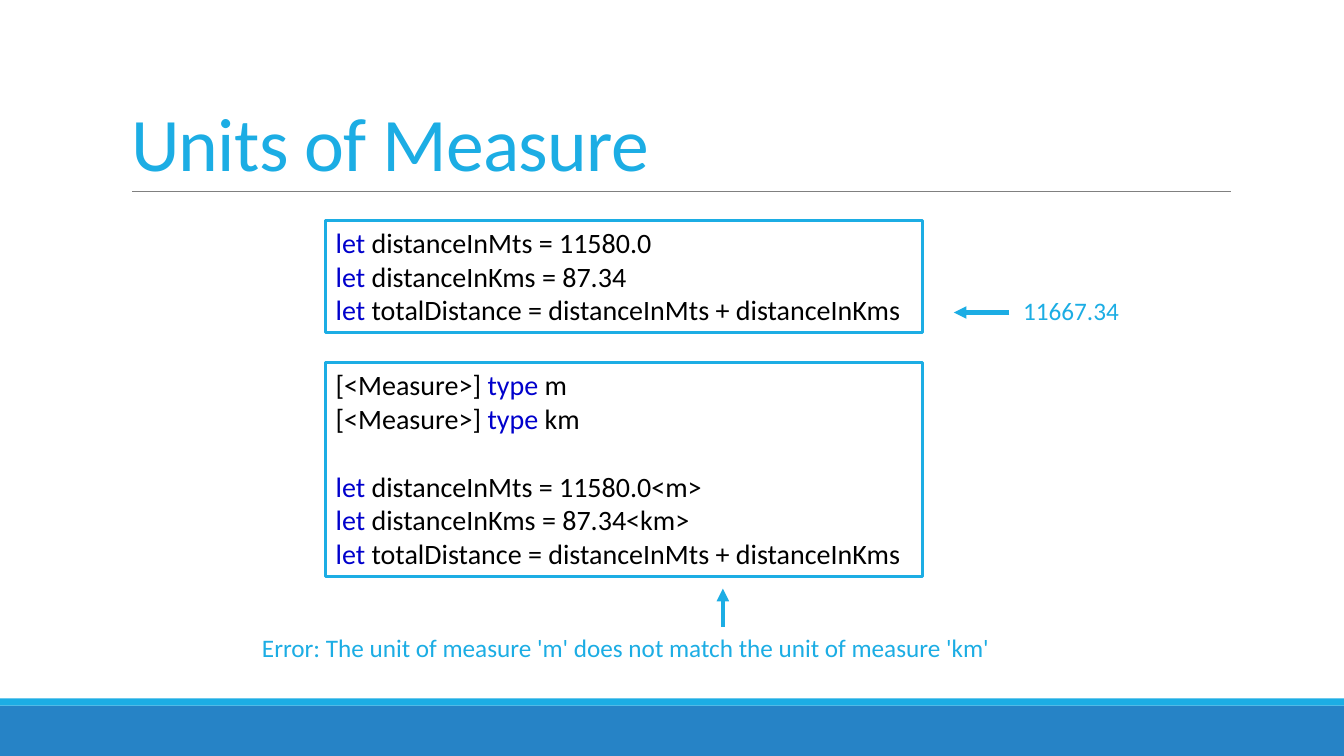
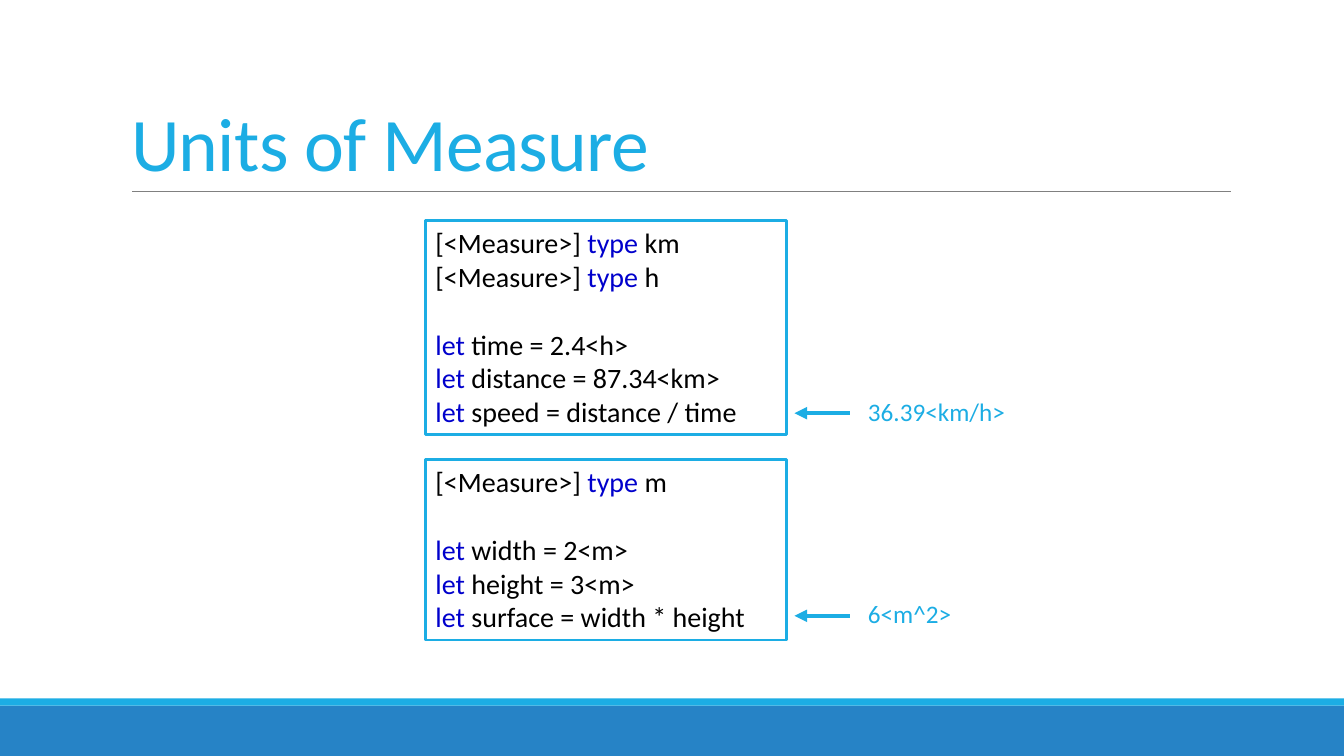
from lxml import etree
from pptx import Presentation
from pptx.dml.color import RGBColor
from pptx.enum import shapes, text
from pptx.oxml.ns import qn
from pptx.util import Inches, Pt

FONT = "Calibri"
ACCENT = "1CADE4"
BAND = "2683C6"
RULE = "808080"
KEYWORD = "0000CC"
CODE = "000000"
PAPER = "FFFFFF"

KEYWORDS = ("let", "type")
CODE_SIZE = 20
CODE_LINE = 0.337  # inches per line of code
BLANK_LINE = Pt(24.4)
BOX_PADDING = 0.1
ARROW_LENGTH = 0.55


def color(hex_value):
    return RGBColor.from_string(hex_value)


def set_font(font, size, hex_value):
    font.name = FONT
    font.size = Pt(size)
    font.color.rgb = color(hex_value)


def add_rectangle(slide, left, top, width, height, fill, outline=None):
    rectangle = slide.shapes.add_shape(
        shapes.MSO_SHAPE.RECTANGLE,
        Inches(left), Inches(top), Inches(width), Inches(height))
    rectangle.shadow.inherit = False
    rectangle.fill.solid()
    rectangle.fill.fore_color.rgb = color(fill)
    if outline:
        rectangle.line.color.rgb = color(outline)
        rectangle.line.width = Pt(2)
    else:
        rectangle.line.fill.background()
    return rectangle


def add_line(slide, start, end, hex_value, width, arrow=False):
    line = slide.shapes.add_connector(
        shapes.MSO_CONNECTOR.STRAIGHT, *(Inches(v) for v in (*start, *end)))
    line.line.color.rgb = color(hex_value)
    line.line.width = Pt(width)
    if arrow:
        etree.SubElement(line.line._get_or_add_ln(), qn("a:tailEnd"), type="triangle")
    etree.SubElement(line._element.spPr, qn("a:effectLst"))
    return line


def decorate_layout(layout, slide):
    """Move the bands and the title rule from the slide to its layout."""
    title = layout.placeholders[0]
    title.left, title.top = Inches(1.2), Inches(0.31)
    title.width, title.height = Inches(11), Inches(1.59)
    decorations = (
        add_rectangle(slide, 0, 7, 13.33, 0.5, BAND),
        add_rectangle(slide, 0, 6.93, 13.33, 0.07, ACCENT),
        add_line(slide, (1.31, 1.9), (12.21, 1.9), RULE, 0.5),
    )
    for decoration in decorations:
        layout.shapes._spTree.append(decoration._element)


def set_title(slide, wording):
    frame = slide.shapes.title.text_frame
    frame.text = wording
    frame.vertical_anchor = text.MSO_ANCHOR.BOTTOM
    frame.auto_size = text.MSO_AUTO_SIZE.NONE
    paragraph = frame.paragraphs[0]
    paragraph.alignment = text.PP_ALIGN.LEFT
    paragraph.line_spacing = 0.85
    set_font(paragraph.font, 54, ACCENT)
    paragraph.runs[0].font._element.set("spc", "-50")


def add_code_line(paragraph, line):
    paragraph.alignment = text.PP_ALIGN.LEFT
    keyword = next(word for word in KEYWORDS if word in line.split())
    before, keyword, after = line.partition(keyword)
    for part, hex_value in ((before, CODE), (keyword, KEYWORD), (after, CODE)):
        if part:
            run = paragraph.add_run()
            run.text = part
            set_font(run.font, CODE_SIZE, hex_value)


def add_code_box(slide, left, top, width, *blocks):
    """Frame blocks of code, with the height of one line between them."""
    line_count = sum(len(block) for block in blocks) + len(blocks) - 1
    height = round(BOX_PADDING + CODE_LINE * line_count, 2)
    box = add_rectangle(slide, left, top, width, height, PAPER, ACCENT)
    frame = box.text_frame
    frame.word_wrap = True
    frame.vertical_anchor = text.MSO_ANCHOR.TOP
    paragraph = frame.paragraphs[0]
    for block_number, block in enumerate(blocks):
        for line_number, line in enumerate(block):
            if block_number or line_number:
                paragraph = frame.add_paragraph()
            if block_number and not line_number:
                paragraph.space_before = BLANK_LINE
            add_code_line(paragraph, line)


def add_label(slide, left, top, width, wording):
    label = slide.shapes.add_textbox(
        Inches(left), Inches(top), Inches(width), Inches(0.4))
    frame = label.text_frame
    frame.word_wrap = False
    frame.text = wording
    set_font(frame.paragraphs[0].font, 18, ACCENT)


def add_result(slide, arrow_tip, middle, label_left, label_width, wording):
    """Point from a result back to the line of code that gives it."""
    add_line(slide, (arrow_tip + ARROW_LENGTH, middle), (arrow_tip, middle),
             ACCENT, 3, arrow=True)
    add_label(slide, label_left, middle - 0.22, label_width, wording)


def add_error_slide(slide):
    left, width = 3.23, 5.92
    total = "let totalDistance = distanceInMts + distanceInKms"
    add_code_box(slide, left, 2.19, width, (
        "let distanceInMts = 11580.0",
        "let distanceInKms = 87.34",
        total))
    add_code_box(slide, left, 3.6, width, (
        "[<Measure>] type m",
        "[<Measure>] type km",
    ), (
        "let distanceInMts = 11580.0<m>",
        "let distanceInKms = 87.34<km>",
        total))
    add_result(slide, 9.46, 3.1, 10.05, 1.16, "11667.34")
    add_line(slide, (7.17, 6.22), (7.17, 5.84), ACCENT, 3, arrow=True)
    add_label(slide, 2.5, 6.22, 7.51,
              "Error: The unit of measure 'm' does not match the unit of measure 'km'")


def add_derived_units_slide(slide):
    left, width, arrow_tip, label_left = 4.22, 3.58, 7.88, 8.51
    add_code_box(slide, left, 2.19, width, (
        "[<Measure>] type km",
        "[<Measure>] type h",
    ), (
        "let time = 2.4<h>",
        "let distance = 87.34<km>",
        "let speed = distance / time"))
    add_result(slide, arrow_tip, 4.1, label_left, 1.58, "36.39<km/h>")
    add_code_box(slide, left, 4.56, width, (
        "[<Measure>] type m",
    ), (
        "let width = 2<m>",
        "let height = 3<m>",
        "let surface = width * height"))
    add_result(slide, arrow_tip, 6.11, label_left, 1.04, "6<m^2>")


def main():
    deck = Presentation()
    deck.slide_width, deck.slide_height = Inches(13.33), Inches(7.5)
    title_only = deck.slide_layouts[5]
    error_slide, derived_slide = (deck.slides.add_slide(title_only) for _ in range(2))
    decorate_layout(title_only, error_slide)
    for slide in (error_slide, derived_slide):
        set_title(slide, "Units of Measure")
    add_error_slide(error_slide)
    add_derived_units_slide(derived_slide)
    deck.save("out.pptx")


if __name__ == "__main__":
    main()
